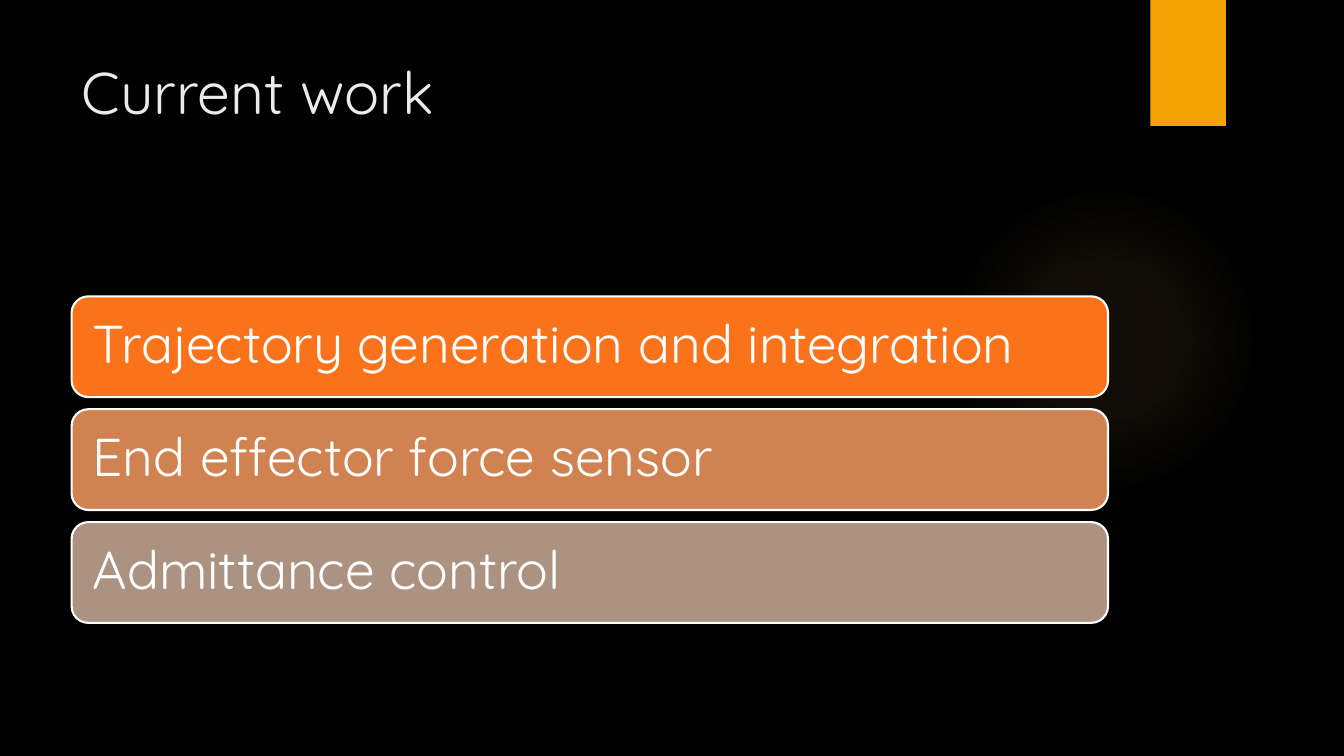
from pptx import Presentation
from pptx.dml.color import RGBColor
from pptx.enum.shapes import MSO_SHAPE as Shape
from pptx.enum.text import MSO_ANCHOR as Anchor, PP_ALIGN as Align
from pptx.oxml import parse_xml
from pptx.oxml.ns import nsdecls
from pptx.util import Inches, Pt

COLORS = {
    "background": "000000",
    "glow": "FAC96A",
    "tab": "F5A408",
    "title": "EBEBEB",
    "white": "FFFFFF",
}
FONT = "Quicksand"
TOPICS = [
    ("Trajectory generation and integration", "FA731A"),
    ("End effector force sensor", "D08350"),
    ("Admittance control", "AB9281"),
]
GLOW_STOPS = [(0, 7), (36, 6), (69, 0)]  # position and opacity, in percent


def rgb(hex_color):
    return RGBColor.from_string(hex_color)


def style_text(paragraph, size, color):
    paragraph.alignment = Align.LEFT
    for run in paragraph.runs:
        run.font.name = FONT
        run.font.size = Pt(size)
        run.font.color.rgb = rgb(color)


def add_plain_shape(slide, kind, left, top, width, height):
    shape = slide.shapes.add_shape(
        kind, Inches(left), Inches(top), Inches(width), Inches(height))
    shape.shadow.inherit = False
    shape.line.fill.background()
    return shape


def add_glow(slide, left, top, size):
    """Add a soft disc that fades out from its centre."""
    glow = add_plain_shape(slide, Shape.OVAL, left, top, size, size)
    stops = "".join(
        f'<a:gs pos="{position * 1000}"><a:srgbClr val="{COLORS["glow"]}">'
        f'<a:alpha val="{opacity * 1000}"/></a:srgbClr></a:gs>'
        for position, opacity in GLOW_STOPS)
    gradient = parse_xml(
        f'<a:gradFill {nsdecls("a")} rotWithShape="1"><a:gsLst>{stops}</a:gsLst>'
        '<a:path path="circle"><a:fillToRect l="50000" t="50000" r="50000" b="50000"/>'
        '</a:path></a:gradFill>')
    glow.element.spPr.prstGeom.addnext(gradient)


def add_tab(slide, left, top, width, height):
    tab = add_plain_shape(slide, Shape.RECTANGLE, left, top, width, height)
    tab.fill.solid()
    tab.fill.fore_color.rgb = rgb(COLORS["tab"])


def place_title(slide, text, left, top, width, height):
    title = slide.shapes.title
    title.left, title.top = Inches(left), Inches(top)
    title.width, title.height = Inches(width), Inches(height)
    frame = title.text_frame
    frame.text = text
    frame.vertical_anchor = Anchor.TOP
    style_text(frame.paragraphs[0], 42, COLORS["title"])


def add_topic_bars(slide, left, top, width, height, gap=0.12):
    """Stack one rounded bar per topic so that they fill the given box."""
    bar_height = (height - gap * (len(TOPICS) - 1)) / len(TOPICS)
    for index, (topic, color) in enumerate(TOPICS):
        bar = add_plain_shape(slide, Shape.ROUNDED_RECTANGLE, left,
                              top + index * (bar_height + gap), width, bar_height)
        bar.fill.solid()
        bar.fill.fore_color.rgb = rgb(color)
        bar.line.color.rgb = rgb(COLORS["white"])
        bar.line.width = Pt(1.5)
        frame = bar.text_frame
        frame.text = topic
        frame.word_wrap = True
        frame.vertical_anchor = Anchor.MIDDLE
        frame.margin_left = frame.margin_right = Inches(0.16)
        frame.margin_top = frame.margin_bottom = Inches(0.16)
        frame.paragraphs[0].line_spacing = 0.9
        style_text(frame.paragraphs[0], 38, COLORS["white"])


def build_current_work(presentation):
    slide = presentation.slides.add_slide(presentation.slide_layouts[5])
    slide.background.fill.solid()
    slide.background.fill.fore_color.rgb = rgb(COLORS["background"])
    add_glow(slide, 9.41, 1.83, 3.08)
    add_tab(slide, 11.41, 0, 0.75, 1.25)
    place_title(slide, "Current work", 0.71, 0.5, 10.29, 1.53)
    add_topic_bars(slide, 0.71, 2.94, 10.28, 3.24)


def main():
    presentation = Presentation()
    presentation.slide_width = Inches(13.33)
    presentation.slide_height = Inches(7.5)
    build_current_work(presentation)
    presentation.save("out.pptx")


if __name__ == "__main__":
    main()
